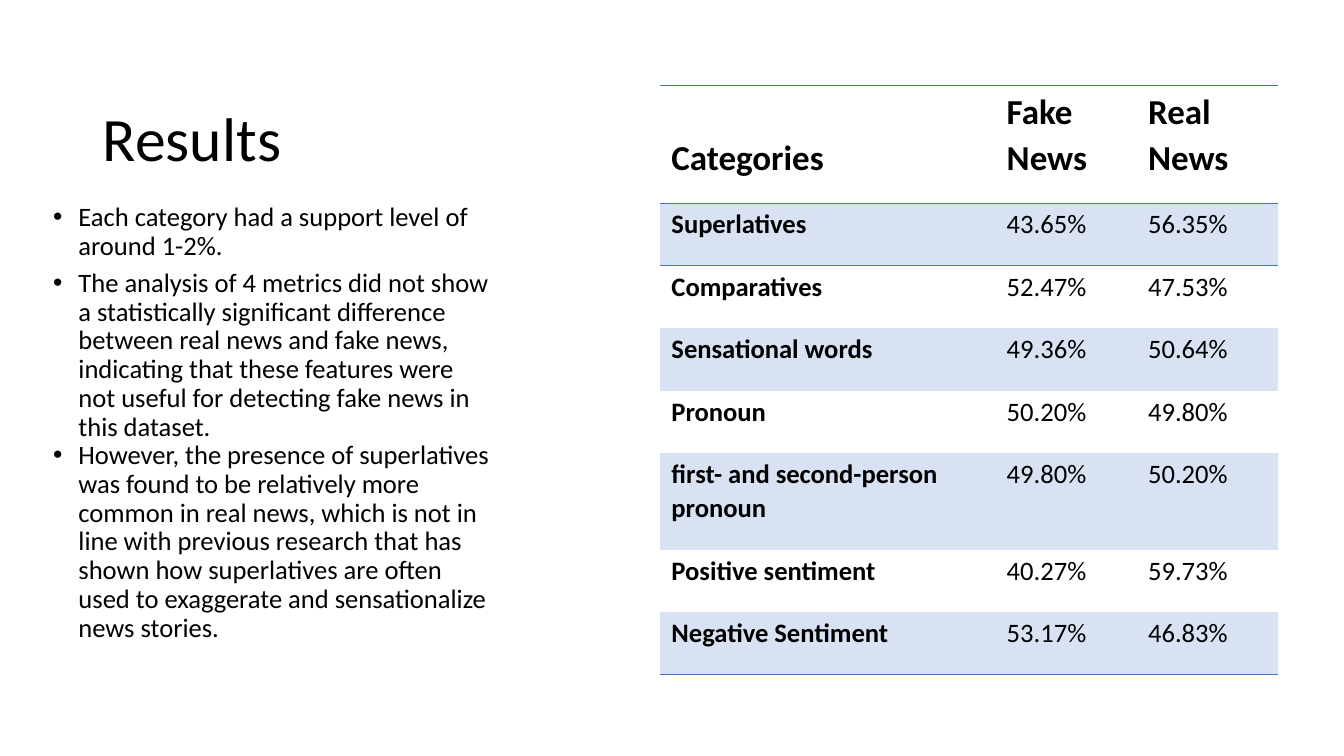
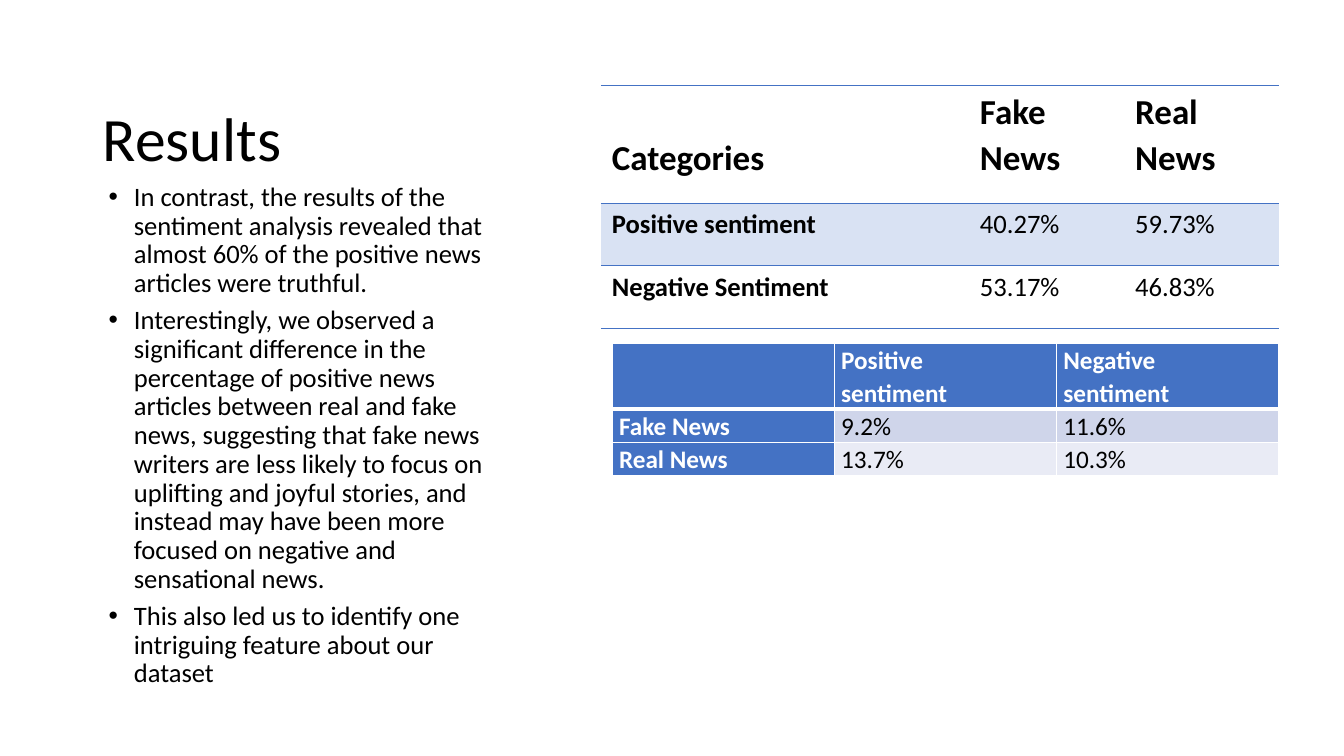
from lxml.etree import SubElement
from pptx import Presentation
from pptx.dml.color import RGBColor
from pptx.enum.text import MSO_ANCHOR, PP_ALIGN
from pptx.oxml.ns import qn
from pptx.util import Inches, Pt

FONT = "Calibri"
BLACK, WHITE, BLUE = "000000", "FFFFFF", "4472C4"
PALE_BLUE, BAND_DARK, BAND_LIGHT = "D9E2F3", "CFD5EA", "E9EBF5"
PLAIN_TABLE_STYLE = "{2D5ABB26-0587-4C30-8999-92F81FD0307C}"
TITLE_BOX = (0.92, 0.67, 4.09, 1.46)
SHARE_INSETS = (0.11, 0.03, 0.12, 0.23)
HEADER_HEIGHT, ROW_HEIGHT, TALL_ROW_HEIGHT = 1.16, 0.62, 0.96

SHARE_HEADER = ("Categories", "Fake News", "Real News")
SENTIMENT_SHARES = [
    ("Positive sentiment", "40.27%", "59.73%"),
    ("Negative Sentiment", "53.17%", "46.83%"),
]
ALL_SHARES = [
    ("Superlatives", "43.65%", "56.35%"),
    ("Comparatives", "52.47%", "47.53%"),
    ("Sensational words", "49.36%", "50.64%"),
    ("Pronoun", "50.20%", "49.80%"),
    ("first- and second-person pronoun", "49.80%", "50.20%"),
] + SENTIMENT_SHARES
SENTIMENT_BY_NEWS = [
    ("", "Positive sentiment", "Negative sentiment"),
    ("Fake News", "9.2%", "11.6%"),
    ("Real News", "13.7%", "10.3%"),
]
SUPPORT_POINTS = [
    ("Each category had a support level of around 1-2%.", 6),
    ("The analysis of 4 metrics did not show a statistically significant "
     "difference between real news and fake news, indicating that these "
     "features were not useful for detecting fake news in this dataset.", 0),
    ("However, the presence of superlatives was found to be relatively more "
     "common in real news, which is not in line with previous research that "
     "has shown how superlatives are often used to exaggerate and "
     "sensationalize news stories.", 0),
]
SENTIMENT_POINTS = [
    ("In contrast, the results of the sentiment analysis revealed that almost "
     "60% of the positive news articles were truthful.", 6),
    ("Interestingly, we observed a significant difference in the percentage "
     "of positive news articles between real and fake news, suggesting that "
     "fake news writers are less likely to focus on uplifting and joyful "
     "stories, and instead may have been more focused on negative and "
     "sensational news.", 6),
    ("This also led us to identify one intriguing feature about our dataset", 6),
]


def rgb(color):
    """Turn a hex string into a colour."""
    return RGBColor.from_string(color)


def inches(box):
    """Turn a sequence of numbers into lengths."""
    return [Inches(value) for value in box]


def write(paragraph, text, size, color=BLACK, bold=False, spacing=0.9, after=0):
    """Add one formatted run and set the paragraph's spacing."""
    paragraph.alignment = PP_ALIGN.LEFT
    paragraph.line_spacing = spacing
    paragraph.space_before, paragraph.space_after = Pt(0), Pt(after)
    font = paragraph.font
    if text:
        run = paragraph.add_run()
        run.text = text
        font = run.font
    font.name, font.size, font.bold = FONT, Pt(size), bold
    font.color.rgb = rgb(color)


def add_results_slide(deck):
    """Add a slide with the shared title."""
    slide = deck.slides.add_slide(deck.slide_layouts[5])
    title = slide.shapes.title
    title.left, title.top, title.width, title.height = inches(TITLE_BOX)
    title.text_frame.vertical_anchor = MSO_ANCHOR.MIDDLE
    write(title.text_frame.paragraphs[0], "Results", 44)
    return slide


def add_bullets(slide, box, points):
    """Fill a box with bulleted points, each with its space after."""
    frame = slide.shapes.add_textbox(*inches(box)).text_frame
    frame.word_wrap = True
    for index, (point, after) in enumerate(points):
        paragraph = frame.add_paragraph() if index else frame.paragraphs[0]
        write(paragraph, point, 19, after=after)
        properties = paragraph._p.get_or_add_pPr()
        properties.set("marL", str(Inches(0.31)))
        properties.set("indent", str(Inches(-0.25)))
        SubElement(properties, qn("a:buFont"), typeface="Arial")
        SubElement(properties, qn("a:buChar"), char="•")


def add_plain_table(slide, box, columns, rows):
    """Add an unstyled table with column shares and row heights."""
    left, top, width = box
    table = slide.shapes.add_table(
        len(rows), len(columns), *inches((left, top, width, sum(rows)))).table
    table.first_row = table.horz_banding = False
    table._tbl.tblPr.find(qn("a:tableStyleId")).text = PLAIN_TABLE_STYLE
    for column, share in zip(table.columns, columns):
        column.width = Inches(width * share / sum(columns))
    for row, height in zip(table.rows, rows):
        row.height = Inches(height)
    return table


def format_cell(cell, text, size, color, bold, insets, fill, borders):
    """Write a cell with its insets, its borders by side and its fill."""
    (cell.margin_left, cell.margin_top,
     cell.margin_right, cell.margin_bottom) = inches(insets)
    write(cell.text_frame.paragraphs[0], text, size, color, bold, 1.07, 3.5)
    properties = cell._tc.get_or_add_tcPr()
    for side in "LRTB":
        if side in borders:
            line_color, weight = borders[side]
            line = SubElement(properties, qn(f"a:ln{side}"), w=str(Pt(weight)))
            solid = SubElement(line, qn("a:solidFill"))
            SubElement(solid, qn("a:srgbClr"), val=line_color)
    if fill:
        cell.fill.solid()
        cell.fill.fore_color.rgb = rgb(fill)
    else:
        cell.fill.background()


def add_share_table(slide, box, columns, shares):
    """Add the ruled table of fake and real shares per category."""
    heights = [TALL_ROW_HEIGHT if len(name) > 25 else ROW_HEIGHT
               for name, *_ in shares]
    table = add_plain_table(slide, box, columns, [HEADER_HEIGHT] + heights)
    rule = (BLUE, 1)
    for r, record in enumerate([SHARE_HEADER] + shares):
        borders = {}
        if r == 0:
            borders = {"T": rule, "B": rule}
        elif r == 1:
            borders = {"T": rule}
        elif r == len(shares):
            borders = {"B": rule}
        for c, text in enumerate(record):
            cell = table.cell(r, c)
            format_cell(cell, text, 19 if r else 25, BLACK, r == 0 or c == 0,
                        SHARE_INSETS, PALE_BLUE if r % 2 else None, borders)
            if r == 0:
                cell.vertical_anchor = MSO_ANCHOR.BOTTOM


def add_sentiment_table(slide, box):
    """Add the gridded table of sentiment by kind of news."""
    table = add_plain_table(slide, box, (1, 1, 1), (0.65, 0.33, 0.33))
    for r, record in enumerate(SENTIMENT_BY_NEWS):
        borders = {side: (WHITE, 1) for side in "LRTB"}
        if r < 2:
            borders["T" if r else "B"] = (WHITE, 3)
        for c, text in enumerate(record):
            heading = r == 0 or c == 0
            fill = BLUE if heading else (BAND_DARK if r == 1 else BAND_LIGHT)
            insets = (0.07, 0, 0.07 if r else 0.5, 0)
            format_cell(table.cell(r, c), text, 18, WHITE if heading else BLACK,
                        heading, insets, fill, borders)


def main():
    """Build and save the two results slides."""
    deck = Presentation()
    deck.slide_width, deck.slide_height = inches((13.33, 7.5))

    categories = add_results_slide(deck)
    add_share_table(categories, (6.55, 0.85, 6.13), (3.32, 1.4, 1.4), ALL_SHARES)
    add_bullets(categories, (0.37, 1.97, 4.64, 5.36), SUPPORT_POINTS)

    sentiment = add_results_slide(deck)
    add_share_table(sentiment, (5.96, 0.85, 6.73), (3.65, 1.54, 1.54),
                    SENTIMENT_SHARES)
    add_bullets(sentiment, (0.92, 1.77, 4.1, 5.36), SENTIMENT_POINTS)
    add_sentiment_table(sentiment, (6.07, 3.41, 6.61))

    deck.save("out.pptx")


if __name__ == "__main__":
    main()
